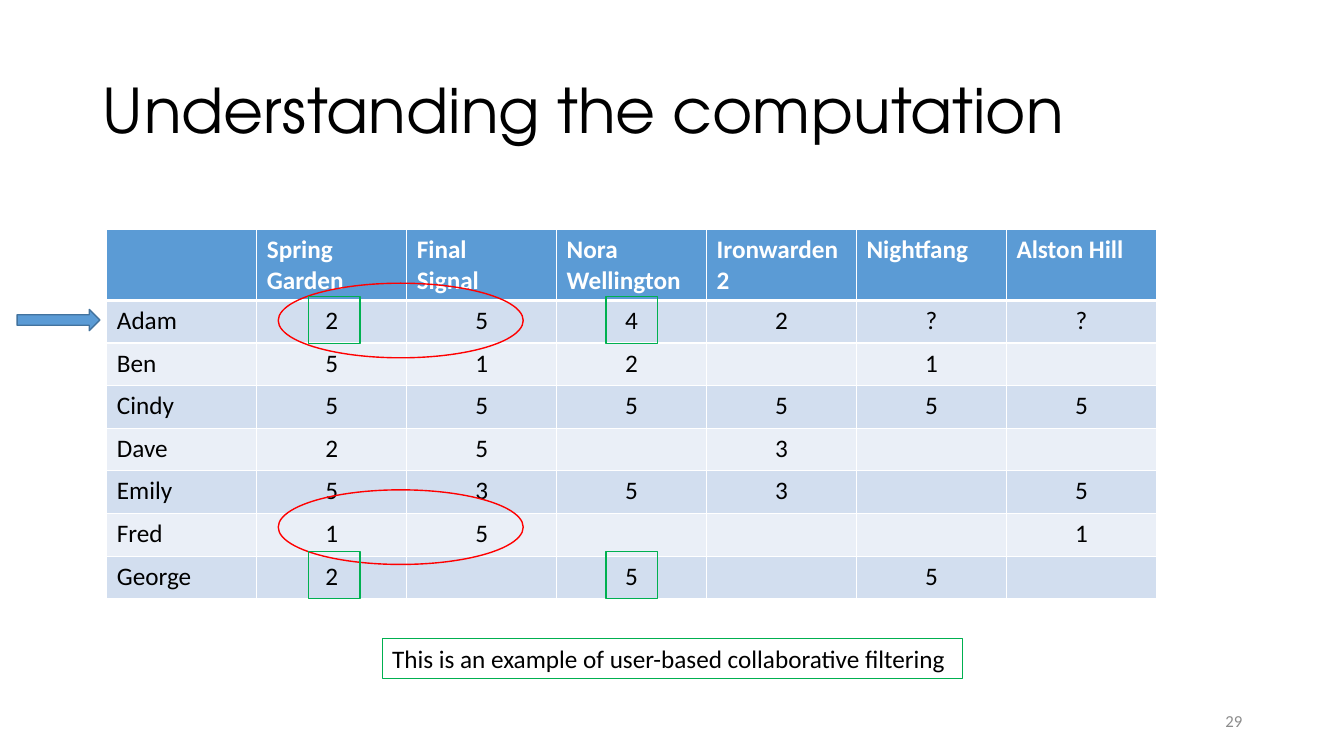
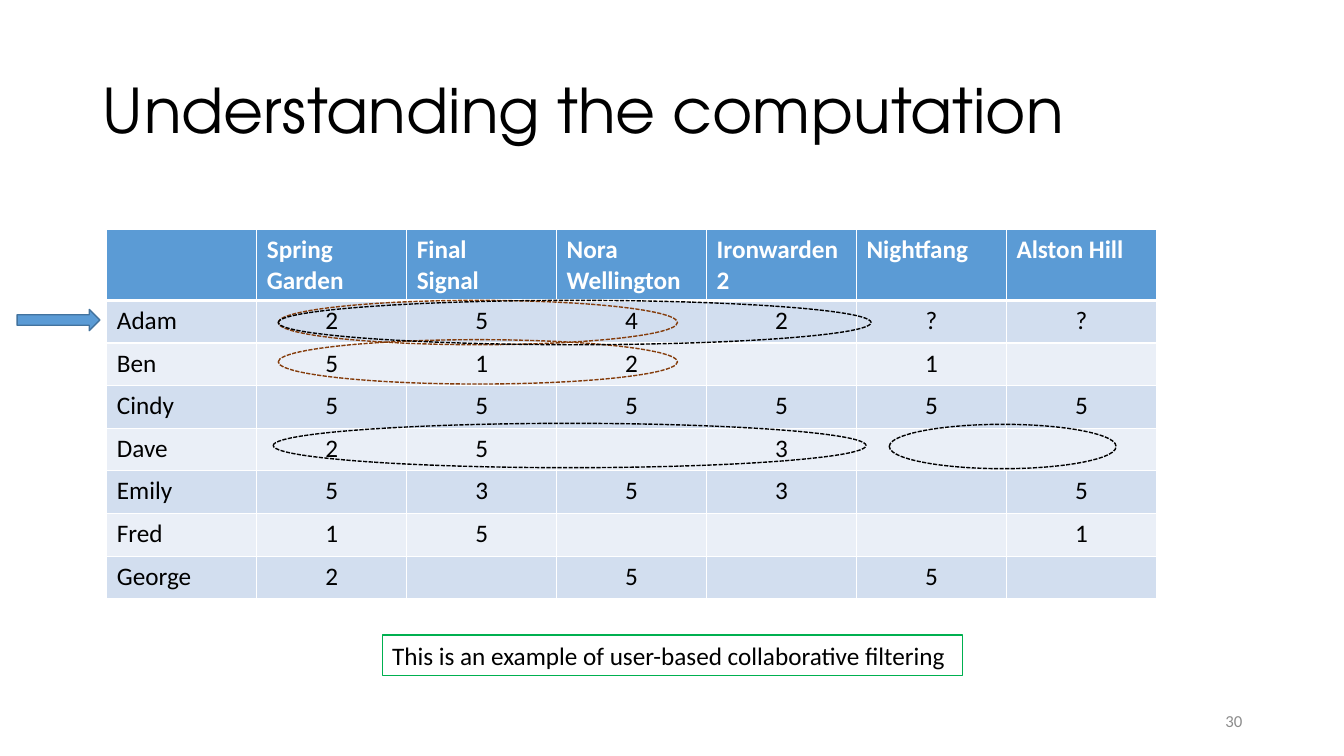
from lxml import etree
from pptx import Presentation
from pptx.dml.color import RGBColor
from pptx.enum.dml import MSO_LINE
from pptx.enum.shapes import MSO_SHAPE
from pptx.enum.text import MSO_ANCHOR, MSO_AUTO_SIZE, PP_ALIGN
from pptx.oxml.ns import qn
from pptx.util import Inches, Pt

OVAL, RECT, ARROW = MSO_SHAPE.OVAL, MSO_SHAPE.RECTANGLE, MSO_SHAPE.RIGHT_ARROW
LEFT, CENTER, RIGHT = PP_ALIGN.LEFT, PP_ALIGN.CENTER, PP_ALIGN.RIGHT
MIDDLE, FIT = MSO_ANCHOR.MIDDLE, MSO_AUTO_SIZE.SHAPE_TO_FIT_TEXT
DASH = MSO_LINE.SQUARE_DOT

BLACK = RGBColor(0x00, 0x00, 0x00)
WHITE = RGBColor(0xFF, 0xFF, 0xFF)
GRAY = RGBColor(0x8C, 0x8C, 0x8C)
BLUE = RGBColor(0x5B, 0x9B, 0xD5)
NAVY = RGBColor(0x43, 0x73, 0x9E)
BANDS = [RGBColor(0xD2, 0xDE, 0xEF), RGBColor(0xEA, 0xEF, 0xF7)]
RED = RGBColor(0xFF, 0x00, 0x00)
GREEN = RGBColor(0x00, 0xB0, 0x50)
BROWN = RGBColor(0x84, 0x3C, 0x0B)

TITLE = {"name": "TeX Gyre Adventor", "size": Pt(44)}
BODY = {"name": "Calibri", "size": Pt(18), "bold": False}
HEAD = {**BODY, "bold": True}
NUMBER = {**BODY, "size": Pt(12)}

RATINGS = [
    ["", "Spring Garden", "Final\nSignal", "Nora Wellington",
     "Ironwarden 2", "Nightfang", "Alston Hill"],
    ["Adam", "2", "5", "4", "2", "?", "?"],
    ["Ben", "5", "1", "2", "", "1", ""],
    ["Cindy", "5", "5", "5", "5", "5", "5"],
    ["Dave", "2", "5", "", "3", "", ""],
    ["Emily", "5", "3", "5", "3", "", "5"],
    ["Fred", "1", "5", "", "", "", "1"],
    ["George", "2", "", "5", "", "5", ""],
]
TALL, HEAD_TALL = 3.66, 0.7
ROW_TALL = (TALL - HEAD_TALL) / (len(RATINGS) - 1)

# Each mark: shape, left, top, width, height, line colour, dash
SOLID_MARKS = [(OVAL, 2.76, y, 2.43, 0.74, RED, None) for y in (2.81, 4.86)]
SOLID_MARKS += [(RECT, x, y, 0.51, 0.47, GREEN, None)
                for y in (5.47, 2.94) for x in (3.06, 6.01)]
DASHED_MARKS = [(OVAL, x, y, w, 0.44, color, DASH) for x, y, w, color in (
    (2.76, 2.98, 3.96, BROWN),
    (2.76, 3.37, 3.96, BROWN),
    (2.71, 4.2, 5.88, BLACK),
    (2.76, 2.98, 5.88, BLACK),
    (8.82, 4.21, 2.25, BLACK),
)]

# Each page: slide number, top of the note, marks
PAGES = [(29, 6.33, SOLID_MARKS), (30, 6.3, DASHED_MARKS)]


def write(frame, text, form, color=BLACK, align=LEFT):
    """Fill a text frame and format all its paragraphs."""
    frame.text = text
    for para in frame.paragraphs:
        para.alignment = align
        for key, value in form.items():
            setattr(para.font, key, value)
            for run in para.runs:
                setattr(run.font, key, value)
        for run in para.runs:
            run.font.color.rgb = color


def border(cell, row):
    """Draw white cell edges, thick between the header and the first row."""
    props = cell._tc.get_or_add_tcPr()
    thick = {"lnB": 0, "lnT": 1}
    for side in ("lnL", "lnR", "lnT", "lnB"):
        width = Pt(3) if thick.get(side) == row else Pt(1)
        line = etree.SubElement(props, qn(f"a:{side}"), w=str(width))
        fill = etree.SubElement(line, qn("a:solidFill"))
        etree.SubElement(fill, qn("a:srgbClr"), val=str(WHITE))


prs = Presentation()
prs.slide_width, prs.slide_height = Inches(13.33), Inches(7.5)
layout = prs.slide_layouts[5]
place = {"left": 0.92, "top": 0.4, "width": 11.5, "height": 1.45}
for key, value in place.items():
    setattr(layout.placeholders[0], key, Inches(value))

for number, note_top, marks in PAGES:
    slide = prs.slides.add_slide(layout)
    shapes = slide.shapes

    frame = shapes.title.text_frame
    write(frame, "Understanding the computation", TITLE)
    frame.vertical_anchor = MIDDLE
    frame.paragraphs[0].line_spacing = 0.9

    box = shapes.add_textbox(Inches(9.42), Inches(6.95), Inches(3), Inches(0.4))
    box.text_frame.word_wrap = True
    box.text_frame.vertical_anchor = MIDDLE
    write(box.text_frame, str(number), NUMBER, GRAY, RIGHT)

    table = shapes.add_table(len(RATINGS), len(RATINGS[0]), Inches(1.06),
                             Inches(2.28), Inches(10.41), Inches(TALL)).table
    for r, values in enumerate(RATINGS):
        table.rows[r].height = Inches(ROW_TALL if r else HEAD_TALL)
        for c, value in enumerate(values):
            cell = table.cell(r, c)
            border(cell, r)
            cell.fill.solid()
            cell.fill.fore_color.rgb = BANDS[(r - 1) % 2] if r else BLUE
            if r:
                write(cell.text_frame, value, BODY, align=CENTER if c else LEFT)
            else:
                write(cell.text_frame, value, HEAD, WHITE)

    arrow = (ARROW, 0.17, 3.07, 0.82, 0.21, NAVY, None)
    for kind, x, y, w, h, color, dash in [*marks, arrow]:
        mark = shapes.add_shape(kind, Inches(x), Inches(y), Inches(w), Inches(h))
        mark.shadow.inherit = False
        mark.line.color.rgb = color
        mark.line.width = Pt(1)
        if dash:
            mark.line.dash_style = dash
        if kind == ARROW:
            mark.fill.solid()
            mark.fill.fore_color.rgb = BLUE
        else:
            mark.fill.background()

    note = shapes.add_textbox(Inches(3.79), Inches(note_top), Inches(5.76), Inches(0.4))
    note.line.color.rgb = GREEN
    note.line.width = Pt(0.75)
    note.text_frame.word_wrap = False
    note.text_frame.auto_size = FIT
    write(note.text_frame,
          "This is an example of user-based collaborative filtering", BODY)

prs.save("out.pptx")
